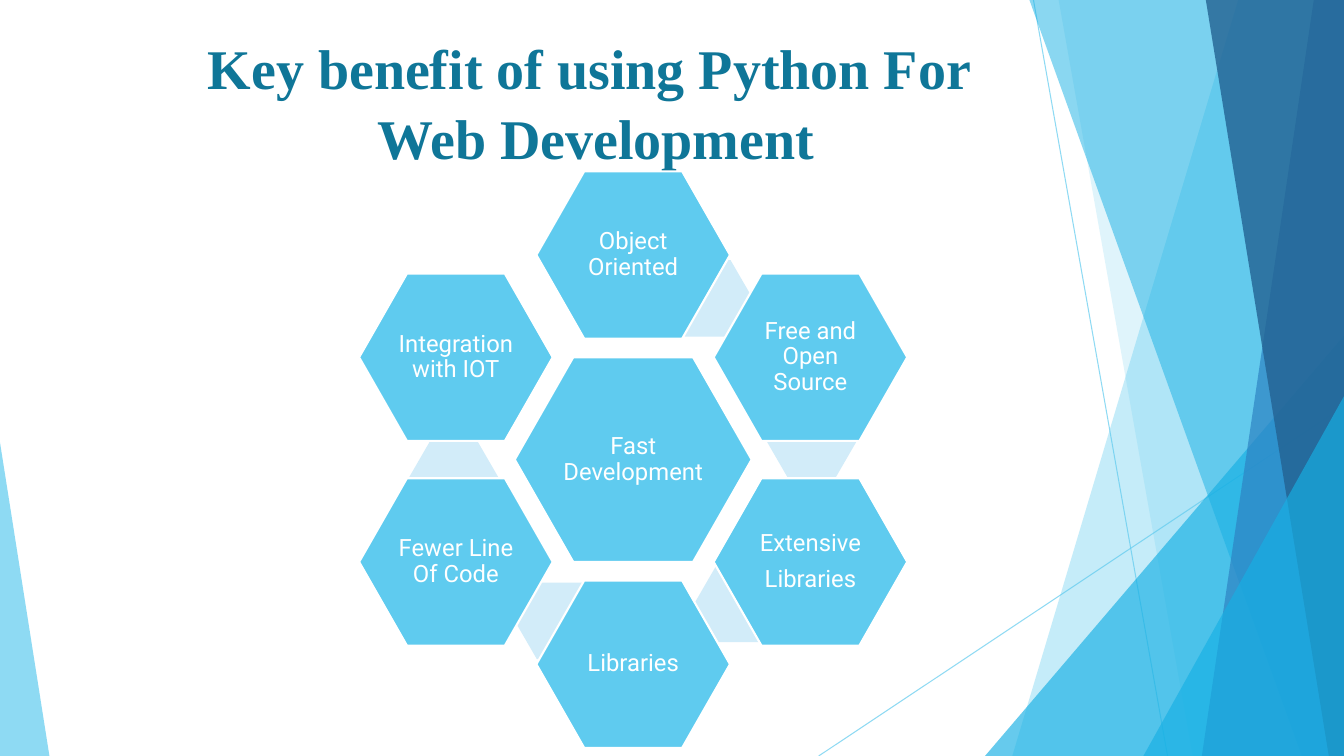
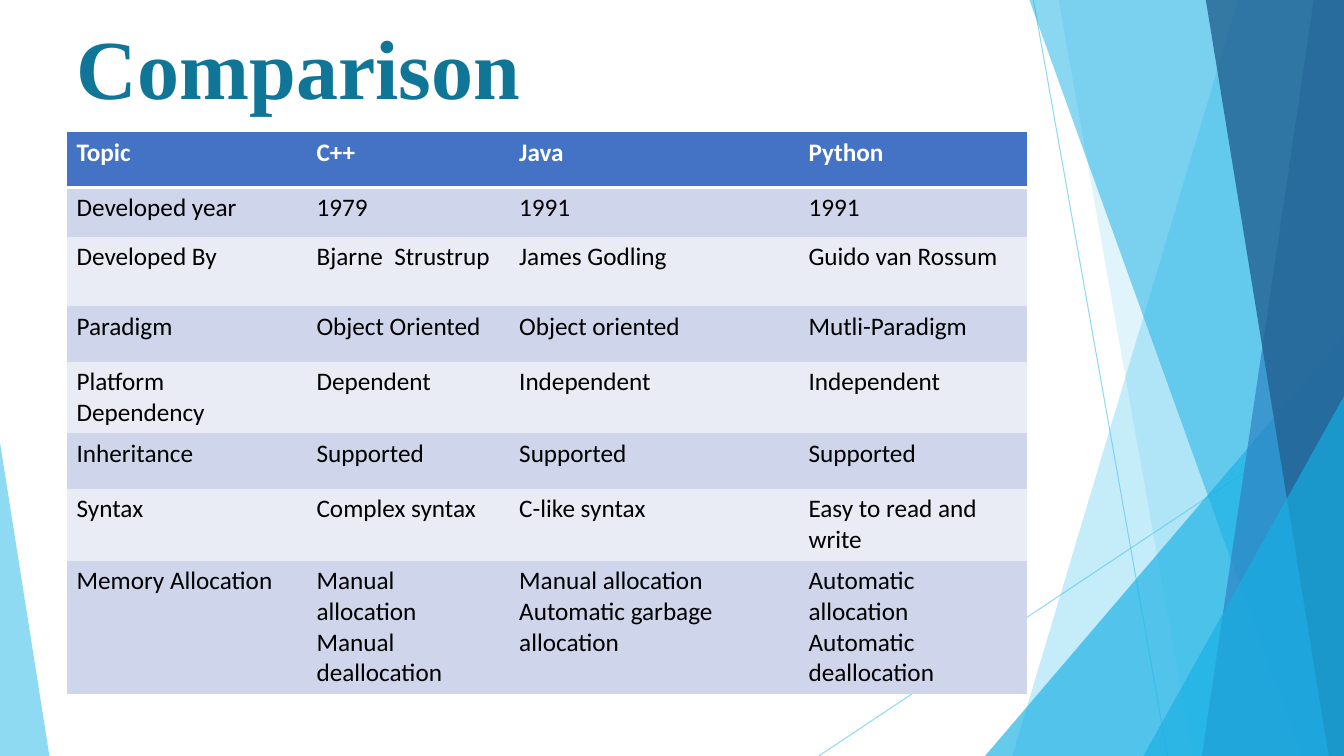
from dataclasses import dataclass
from math import cos, radians, sin

from lxml.etree import SubElement
from pptx import Presentation
from pptx.dml.color import RGBColor
from pptx.enum.shapes import MSO_CONNECTOR
from pptx.enum.text import MSO_ANCHOR, MSO_AUTO_SIZE, PP_ALIGN
from pptx.oxml import parse_xml
from pptx.oxml.ns import nsdecls, qn
from pptx.util import Inches, Pt


@dataclass(frozen=True)
class Theme:
    sky: str = "5FCBEF"
    cyan: str = "17B0E4"
    blue: str = "2E83C3"
    navy: str = "236292"
    pale: str = "D2ECF9"
    title: str = "0F7698"
    white: str = "FFFFFF"
    black: str = "000000"
    head: str = "4472C4"
    bands: tuple = ("CFD5EA", "E9EBF5")
    serif: str = "Times New Roman"
    sans: str = "Roboto"
    grid: str = "Calibri"
    big: int = 60
    mid: int = 40
    cell: int = 18
    node: int = 17


WIDE, HIGH = 13.33, 7.5
NO_STYLE = "{2D5ABB26-0587-4C30-8999-92F81FD0307C}"
HEX_CUT = 0.247  # share of a hexagon's width taken by each slanted corner


def write(frame, text, *, font, size, color, bold=False, align=PP_ALIGN.LEFT,
          line=None, after=None):
    """Fill a text frame, one paragraph for each line of text."""
    for i, part in enumerate(text.split("\n")):
        para = frame.paragraphs[0] if i == 0 else frame.add_paragraph()
        para.alignment = align
        para.line_spacing = line
        para.space_after = None if after is None else Pt(after)
        run = para.add_run()
        run.text = part
        run.font.name = font
        run.font.size = Pt(size)
        run.font.bold = bold
        run.font.color.rgb = RGBColor.from_string(color)


def fade(shape, alpha):
    """Set the opacity, in percent, of the first colour of a shape."""
    color = next(shape._element.spPr.iter(qn("a:srgbClr")))
    SubElement(color, qn("a:alpha")).set("val", str(alpha * 1000))


class Deck:
    def __init__(self, theme):
        self.theme = theme
        self.file = Presentation()
        self.file.slide_width = Inches(WIDE)
        self.file.slide_height = Inches(HIGH)
        self.layout = self.file.slide_layouts[5]
        self.slide = None

    def page(self):
        self.slide = self.file.slides.add_slide(self.layout)

    def title(self, text, box, size, inset, **form):
        shape = self.slide.shapes.title
        shape.left, shape.top, shape.width, shape.height = map(Inches, box)
        frame = shape.text_frame
        frame.word_wrap = True
        frame.auto_size = MSO_AUTO_SIZE.NONE
        frame.vertical_anchor = MSO_ANCHOR.TOP
        frame.margin_top = Inches(inset)
        write(frame, text, font=self.theme.serif, size=size,
              color=self.theme.title, bold=True, **form)

    def poly(self, points, color, alpha=None, edge=None):
        first, *rest = [(Inches(x), Inches(y)) for x, y in points]
        pen = self.slide.shapes.build_freeform(*first, scale=1.0)
        pen.add_line_segments(rest, close=True)
        shape = pen.convert_to_shape()
        shape.shadow.inherit = False
        shape.fill.solid()
        shape.fill.fore_color.rgb = RGBColor.from_string(color)
        if alpha:
            fade(shape, alpha)
        if edge:
            shape.line.color.rgb = RGBColor.from_string(edge)
            shape.line.width = Pt(1.5)
        else:
            shape.line.fill.background()
        return shape

    def line(self, start, end):
        ends = [Inches(n) for n in (*start, *end)]
        shape = self.slide.shapes.add_connector(MSO_CONNECTOR.STRAIGHT, *ends)
        shape.line.color.rgb = RGBColor.from_string(self.theme.sky)
        shape.line.width = Pt(0.75)
        fade(shape, 70)
        SubElement(shape._element.spPr, qn("a:effectLst"))
        return shape

    def hexa(self, x, y, wide, high, color, edge=None):
        """Draw a hexagon centred on x, y."""
        a, b = wide / 2, high / 2
        c = a - wide * HEX_CUT
        points = [(-a, 0), (-c, -b), (c, -b), (a, 0), (c, b), (-c, b)]
        return self.poly([(x + dx, y + dy) for dx, dy in points], color, edge=edge)

    def node(self, text, x, y, wide, high, pad):
        theme = self.theme
        frame = self.hexa(x, y, wide, high, theme.sky, theme.white).text_frame
        frame.word_wrap = True
        frame.vertical_anchor = MSO_ANCHOR.MIDDLE
        frame.margin_left = frame.margin_right = Inches(pad[0])
        frame.margin_top = frame.margin_bottom = Inches(pad[1])
        write(frame, text, font=theme.sans, size=theme.node, color=theme.white,
              align=PP_ALIGN.CENTER, line=0.9, after=7)

    def table(self, data, left, top, cols, rows):
        theme = self.theme
        frame = self.slide.shapes.add_table(
            len(rows), len(cols), Inches(left), Inches(top),
            Inches(sum(cols)), Inches(sum(rows)))
        table = frame.table
        table._tbl.tblPr.find(qn("a:tableStyleId")).text = NO_STYLE
        table.horz_banding = False
        for col, wide in zip(table.columns, cols):
            col.width = Inches(wide)
        for r, (row, high) in enumerate(zip(data, rows)):
            table.rows[r].height = Inches(high)
            head = r == 0
            for c, text in enumerate(row):
                cell = table.cell(r, c)
                cell.fill.solid()
                fill = theme.head if head else theme.bands[(r - 1) % 2]
                cell.fill.fore_color.rgb = RGBColor.from_string(fill)
                if head:
                    self.rule(cell)
                write(cell.text_frame, text, font=theme.grid, size=theme.cell,
                      color=theme.white if head else theme.black, bold=head)

    def rule(self, cell):
        """Put a thick white line under a cell."""
        cell._tc.get_or_add_tcPr().insert(0, parse_xml(
            f'<a:lnB {nsdecls("a")} w="{Pt(3)}"><a:solidFill>'
            f'<a:srgbClr val="{self.theme.white}"/></a:solidFill></a:lnB>'))

    def art(self):
        """Draw the shared facets and move them to the layout."""
        t = self.theme
        end = (WIDE, HIGH)

        def band(top, foot):
            return [(top, 0), (WIDE, 0), end, (foot, HIGH)]

        def wedge(foot, top):
            return [(foot, HIGH), (WIDE, top), end]

        shapes = [self.line((10.25, 0), (11.58, HIGH)),
                  self.line((WIDE, 4.03), (8.12, HIGH))]
        facets = [
            (band(12.28, 10.04), t.sky, 36),
            (band(10.5, 11.83), t.sky, 20),
            (wedge(9.77, 3.33), t.cyan, 66),
            (band(10.21, 12.91), t.cyan, 50),
            (band(13.03, 11.92), t.blue, 70),
            (band(11.96, 13.18), t.navy, 80),
            (wedge(11.34, 3.93), t.cyan, 66),
            ([(0, HIGH), (0, 4.39), (0.49, HIGH)], t.sky, 70),
        ]
        shapes += [self.poly(*facet) for facet in facets]
        tree = self.layout.shapes._spTree
        for i, shape in enumerate(shapes):
            tree.insert(2 + i, shape._element)


def perks(deck):
    deck.title("Key benefit of using Python For \nWeb Development",
               (0.51, 0.19, 10.8, 1.48), deck.theme.mid, 0.12,
               align=PP_ALIGN.CENTER, line=1.04)
    x, y, reach = 6.28, 4.56, 2.03
    deck.node("Fast Development", x, y, 2.35, 2.03, (0.41, 0.36))
    links = [(7.02, 2.96), (8.05, 4.38), (7.33, 5.99), (5.55, 6.16), (4.5, 4.74)]
    for spot in links:
        deck.hexa(*spot, 0.89, 0.76, deck.theme.pale)
    names = ["Object Oriented", "Free and Open Source", "Extensive\nLibraries",
             "Libraries", "Fewer Line Of Code", "Integration with IOT"]
    for i, name in enumerate(names):
        turn = radians(60 * i)
        deck.node(name, x + reach * sin(turn), y - reach * cos(turn),
                  1.92, 1.66, (0.34, 0.3))


def compare(deck):
    deck.title("Comparison", (0.66, 0, 9.4, 1.44), deck.theme.big, 0.15)
    data = [
        ("Topic", "C++", "Java", "Python"),
        ("Developed year", "1979", "1991", "1991"),
        ("Developed By", "Bjarne  Strustrup", "James Godling", "Guido van Rossum"),
        ("Paradigm", "Object Oriented", "Object oriented", "Mutli-Paradigm"),
        ("Platform Dependency", "Dependent", "Independent", "Independent"),
        ("Inheritance", "Supported", "Supported", "Supported"),
        ("Syntax", "Complex syntax", "C-like syntax", "Easy to read and write"),
        ("Memory Allocation", "Manual allocation\nManual deallocation",
         "Manual allocation\nAutomatic garbage allocation",
         "Automatic allocation\nAutomatic deallocation"),
    ]
    deck.table(data, 0.66, 1.31, (2.38, 2.01, 2.87, 2.27),
               (0.55, 0.49, 0.69, 0.55, 0.69, 0.55, 0.69, 1.28))


def main():
    deck = Deck(Theme())
    deck.page()
    deck.art()
    perks(deck)
    deck.page()
    compare(deck)
    deck.file.save("out.pptx")


if __name__ == "__main__":
    main()
